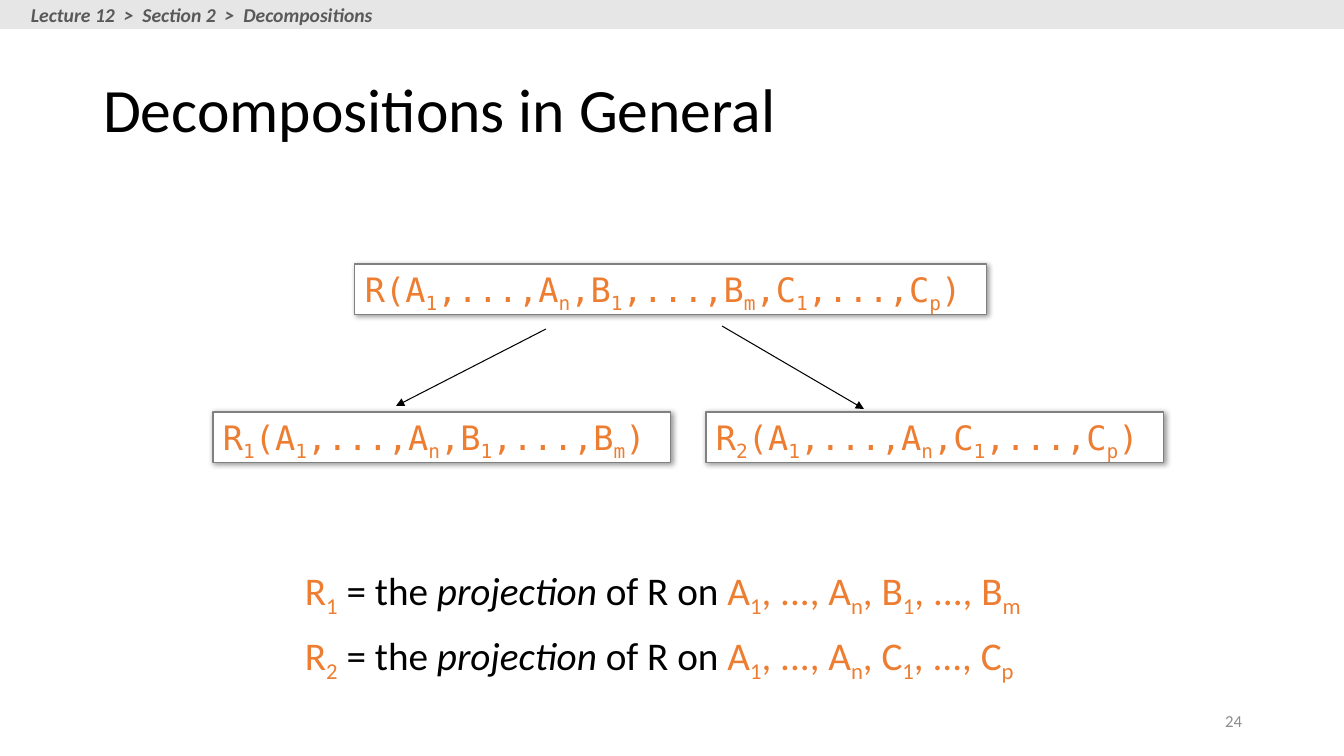
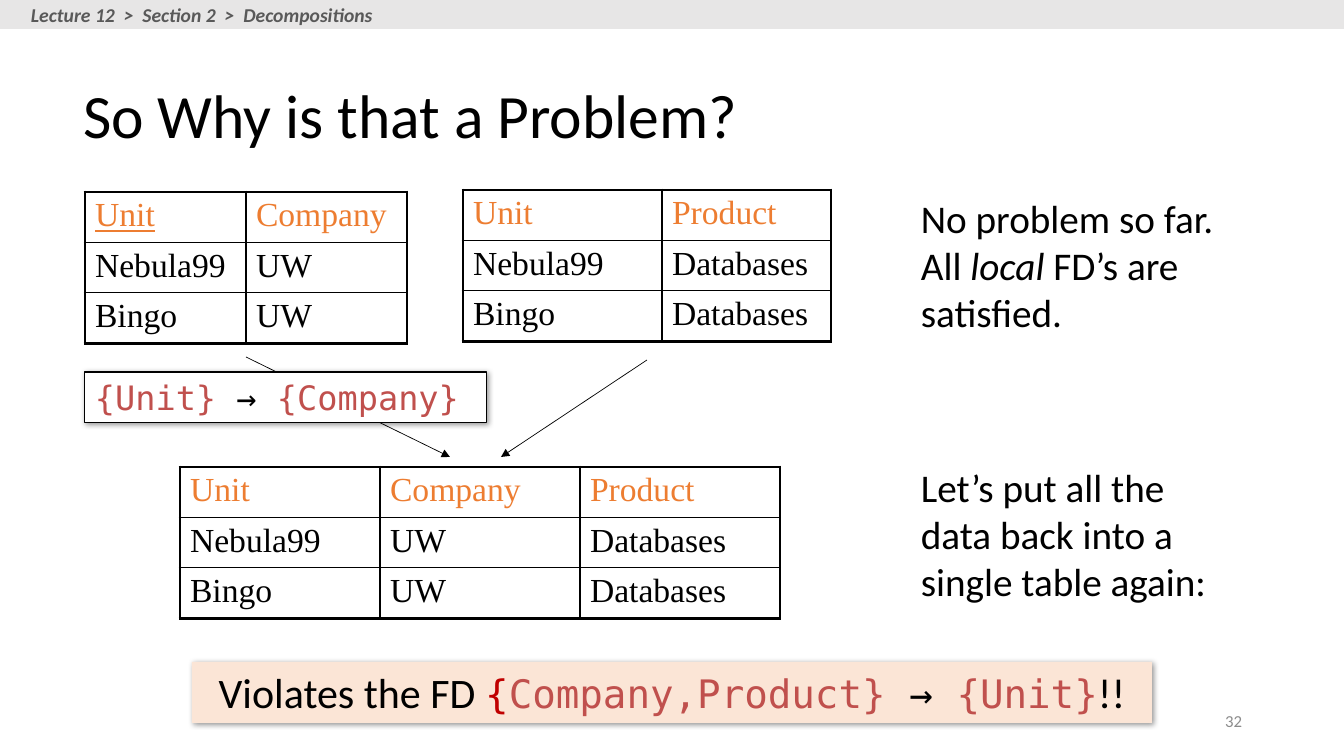
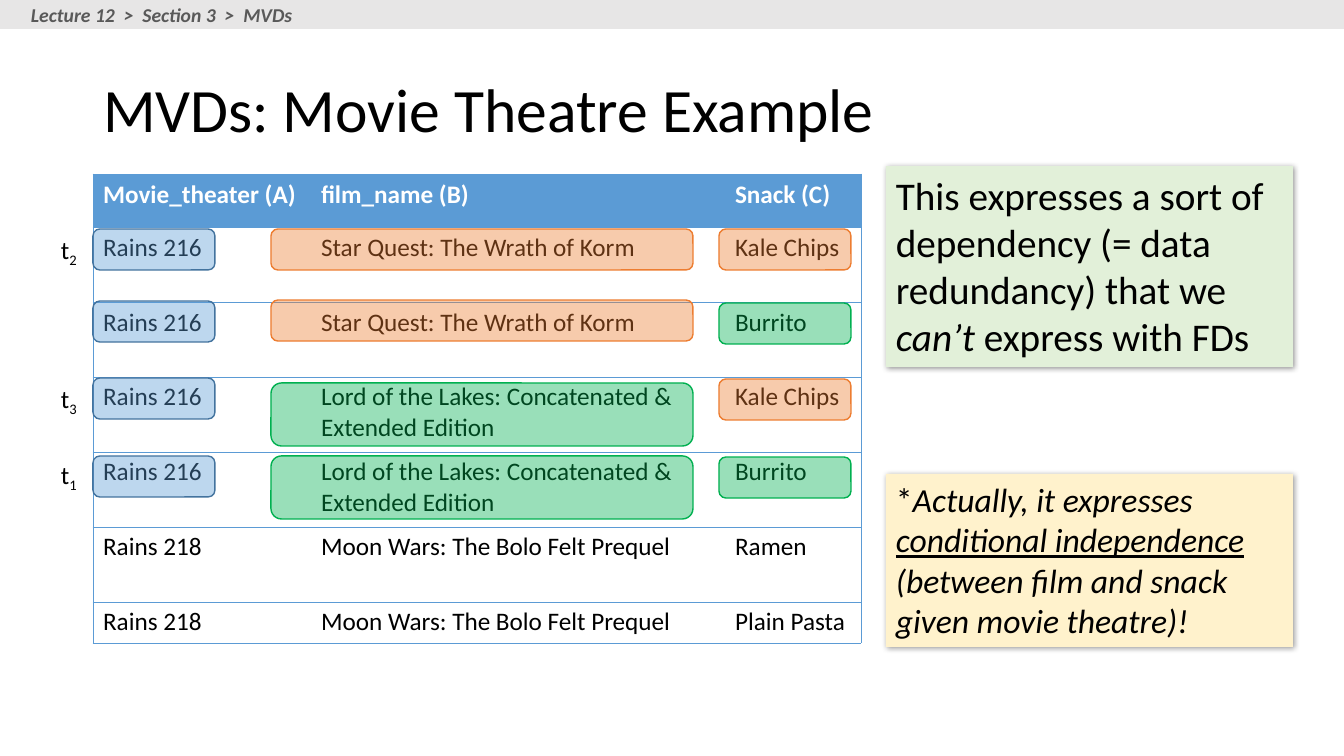
from dataclasses import dataclass
from lxml.etree import SubElement
from pptx import Presentation
from pptx.dml.color import RGBColor
from pptx.enum.shapes import MSO_CONNECTOR, MSO_SHAPE
from pptx.enum.text import MSO_ANCHOR, MSO_AUTO_SIZE, PP_ALIGN
from pptx.oxml.ns import qn
from pptx.util import Emu, Pt

EMU_PER_PX = 914400 / 100.8


@dataclass(frozen=True)
class Theme:
    sans: str = "Calibri"
    mono: str = "DejaVu Sans Mono"
    serif: str = "Times New Roman"
    black: str = "000000"
    white: str = "FFFFFF"
    gray: str = "808080"
    number: str = "8C8C8C"
    band: str = "E7E6E6"
    crumb: str = "595959"
    orange: str = "ED7D31"
    blue: str = "5B9BD5"
    dark_blue: str = "43739E"
    green: str = "00B050"
    brick: str = "C0504D"
    red: str = "C00000"
    peach: str = "FBE5D6"
    mint: str = "E2F0D9"
    cream: str = "FFF2CC"
    title_size: int = 44
    callout_size: int = 30
    body_size: int = 28
    code_size: int = 24
    label_size: int = 18
    crumb_size: int = 14
    number_size: int = 12


THEME = Theme()


@dataclass(frozen=True)
class Box:
    left: int
    top: int
    width: int
    height: int

    def area(self, dx, dy, width, height):
        return Box(self.left + dx, self.top + dy, width, height)

    def emu(self):
        return [px(v) for v in (self.left, self.top, self.width, self.height)]


@dataclass(frozen=True)
class GridStyle:
    font: str
    size: int
    head_color: str
    line: str
    outer: float
    inner_rows: float
    inner_columns: float
    head_bold: bool = False
    head_fill: str = ""


RELATION = GridStyle(THEME.serif, THEME.code_size, THEME.orange, THEME.black, 2.25, 1, 1)
LISTING = GridStyle(THEME.sans, THEME.label_size, THEME.white, THEME.blue, 0.5, 0.5, 0,
                    head_bold=True, head_fill=THEME.blue)


def px(value):
    return Emu(round(value * EMU_PER_PX))


def rgb(color):
    return RGBColor.from_string(color)


# Text
def formula(text, **style):
    """Split "A_1,B_2" into runs; the character after each underscore is a subscript."""
    first, *rest = text.split("_")
    runs = [(first, style)]
    for piece in rest:
        runs.append((piece[0], {**style, "sub": True}))
        if piece[1:]:
            runs.append((piece[1:], style))
    return runs


def write(frame, content, size, color=THEME.black, font=THEME.sans, align=PP_ALIGN.LEFT,
          bold=False, italic=False):
    paragraph = frame.paragraphs[0]
    paragraph.alignment = align
    for text, style in [(content, {})] if isinstance(content, str) else content:
        run = paragraph.add_run()
        run.text = text
        run.font.name = style.get("font", font)
        run.font.size = Pt(style.get("size", size))
        run.font.color.rgb = rgb(style.get("color", color))
        run.font.bold = bold
        run.font.italic = style.get("italic", italic)
        run.font.underline = style.get("underline", False)
        if style.get("sub"):
            run._r.get_or_add_rPr().set("baseline", "-25000")
    return paragraph


def label(slide, box, content, size, anchor=MSO_ANCHOR.TOP, **style):
    frame = slide.shapes.add_textbox(*box.emu()).text_frame
    frame.word_wrap = True
    frame.vertical_anchor = anchor
    write(frame, content, size, **style)


# Shapes
def panel(slide, box, fill, line=None, width=0.75, kind=MSO_SHAPE.RECTANGLE, alpha=None):
    shape = slide.shapes.add_shape(kind, *box.emu())
    shape.shadow.inherit = False
    shape.fill.solid()
    shape.fill.fore_color.rgb = rgb(fill)
    if alpha:
        color = shape._element.spPr.find(qn("a:solidFill"))[0]
        SubElement(color, qn("a:alpha"), val=str(alpha * 1000))
    if line:
        shape.line.color.rgb = rgb(line)
        shape.line.width = Pt(width)
    else:
        shape.line.fill.background()
    return shape


def card(slide, box, content, size, fill=THEME.white, line=None, **style):
    shape = panel(slide, box, fill, line)
    effects = shape._element.spPr.find(qn("a:effectLst"))
    shadow = SubElement(effects, qn("a:outerShdw"), blurRad=str(Pt(4)), dist=str(Pt(1)),
                        dir="2700000", algn="tl", rotWithShape="0")
    color = SubElement(shadow, qn("a:srgbClr"), val=THEME.black)
    SubElement(color, qn("a:alpha"), val="40000")
    frame = shape.text_frame
    frame.word_wrap = True
    frame.vertical_anchor = MSO_ANCHOR.TOP
    write(frame, content, size, **style)


def arrow(slide, box, start, end, width):
    ends = [px(v) for x, y in (start, end) for v in (box.left + x, box.top + y)]
    connector = slide.shapes.add_connector(MSO_CONNECTOR.STRAIGHT, *ends)
    connector.line.color.rgb = rgb(THEME.black)
    connector.line.width = Pt(width)
    properties = connector._element.spPr
    SubElement(properties.find(qn("a:ln")), qn("a:tailEnd"), type="triangle")
    SubElement(properties, qn("a:effectLst"))


# Tables
def border(cell, side, width, color):
    line = SubElement(cell._tc.get_or_add_tcPr(), qn(f"a:ln{side}"), w=str(Pt(width)))
    if width:
        SubElement(SubElement(line, qn("a:solidFill")), qn("a:srgbClr"), val=color)
    else:
        SubElement(line, qn("a:noFill"))


def grid(slide, left, top, widths, heights, rows, style):
    box = Box(left, top, sum(widths), sum(heights))
    table = slide.shapes.add_table(len(rows), len(widths), *box.emu()).table
    table._tbl.tblPr[0].text = "{2D5ABB26-0587-4C30-8999-92F81FD0307C}"
    table.first_row = table.horz_banding = False
    for column, width in zip(table.columns, widths):
        column.width = px(width)
    last_row, last_column = len(rows) - 1, len(widths) - 1
    for r, (values, height) in enumerate(zip(rows, heights)):
        table.rows[r].height = px(height)
        for c, value in enumerate(values):
            cell = table.cell(r, c)
            for side, at_edge, inner in (("L", c == 0, style.inner_columns),
                                         ("R", c == last_column, style.inner_columns),
                                         ("T", r == 0, style.inner_rows),
                                         ("B", r == last_row, style.inner_rows)):
                border(cell, side, style.outer if at_edge else inner, style.line)
            head = r == 0
            if head and style.head_fill:
                cell.fill.solid()
                cell.fill.fore_color.rgb = rgb(style.head_fill)
            else:
                cell.fill.background()
            write(cell.text_frame, value, style.size, font=style.font,
                  color=style.head_color if head else THEME.black,
                  bold=head and style.head_bold)


# Frame shared by all slides
def lecture_slide(deck, title, crumbs, number=None, title_box=Box(93, 40, 1159, 146)):
    slide = deck.slides.add_slide(deck.slide_layouts[5])
    heading = slide.shapes.title
    heading.left, heading.top, heading.width, heading.height = title_box.emu()
    frame = heading.text_frame
    frame.auto_size = MSO_AUTO_SIZE.NONE
    frame.vertical_anchor = MSO_ANCHOR.MIDDLE
    write(frame, title, THEME.title_size).line_spacing = 0.9
    panel(slide, Box(0, 0, 1344, 29), THEME.band)
    label(slide, Box(21, -2, 400, 34), "  >  ".join(crumbs), THEME.crumb_size,
          color=THEME.crumb, bold=True, italic=True)
    if number:
        label(slide, Box(950, 701, 302, 40), number, THEME.number_size, MSO_ANCHOR.MIDDLE,
              color=THEME.number, align=PP_ALIGN.RIGHT)
    return slide


# Slide 1: a relation split in two, and what each half means
def decomposition_tree(slide, box):
    for dx, dy, width, relation in (
            (142, 0, 632, "R(A_1,...,A_n,B_1,...,B_m,C_1,...,C_p)"),
            (0, 148, 458, "R_1(A_1,...,A_n,B_1,...,B_m)"),
            (493, 148, 458, "R_2(A_1,...,A_n,C_1,...,C_p)")):
        card(slide, box.area(dx, dy, width, 51), formula(relation), THEME.code_size,
             line=THEME.gray, font=THEME.mono, color=THEME.orange)
    arrow(slide, box, (333, 65), (183, 142), 0.75)
    arrow(slide, box, (509, 62), (651, 145), 0.75)


def projections(slide, box):
    for i, (name, attributes) in enumerate((("R_1", "A_1, ..., A_n, B_1, ..., B_m"),
                                            ("R_2", "A_1, ..., A_n, C_1, ..., C_p"))):
        sentence = [*formula(name, color=THEME.orange), (" = the ", {}),
                    ("projection", {"italic": True}), (" of R on ", {}),
                    *formula(attributes, color=THEME.orange)]
        label(slide, box.area(0, 65 * i, box.width, 57), sentence, THEME.body_size)


def decompositions_slide(deck):
    slide = lecture_slide(deck, "Decompositions in General",
                          ("Lecture 12", "Section 2", "Decompositions"), "24")
    decomposition_tree(slide, Box(213, 264, 951, 199))
    projections(slide, Box(295, 561, 760, 122))


# Slide 2: two relations joined back into one
def joined_relations(slide, box):
    units = ("Nebula99", "Bingo")
    heights = [50] * 3
    left, top = box.left, box.top
    grid(slide, left, top + 2, [161] * 2, heights,
         [([("Unit", {"underline": True})], "Company"), *((u, "UW") for u in units)], RELATION)
    grid(slide, left + 378, top, [199, 169], heights,
         [("Unit", "Product"), *((u, "Databases") for u in units)], RELATION)
    grid(slide, left + 95, top + 277, [200] * 3, heights,
         [("Unit", "Company", "Product"), *((u, "UW", "Databases") for u in units)], RELATION)
    arrow(slide, box, (562, 170), (416, 267), 0.5)
    arrow(slide, box, (161, 167), (365, 267), 0.5)
    card(slide, box.area(0, 182, 402, 51),
         [("{Unit} ", {}), ("→", {"color": THEME.black}), (" {Company}", {})],
         THEME.code_size, line=THEME.black, font=THEME.mono, color=THEME.brick)


def remarks(slide, box):
    label(slide, box.area(0, 0, 341, 152),
          [("No problem so far. All ", {}), ("local", {"italic": True}),
           (" FD’s are satisfied.", {})], THEME.body_size)
    label(slide, box.area(0, 269, 319, 152),
          "Let’s put all the data back into a single table again:", THEME.body_size)


def violation(slide, box):
    plain = {"font": THEME.sans, "size": THEME.callout_size, "color": THEME.black}
    card(slide, box,
         [("Violates the FD ", plain), ("{", {"color": THEME.red}), ("Company,Product} ", {}),
          ("→ ", {"color": THEME.black}), ("{Unit}", {}), ("!!", plain)],
         THEME.body_size, fill=THEME.peach, font=THEME.mono, color=THEME.brick,
         align=PP_ALIGN.CENTER)


def problem_slide(deck):
    slide = lecture_slide(deck, "So Why is that a Problem?",
                          ("Lecture 12", "Section 2", "Decompositions"), "32",
                          Box(73, 56, 857, 126))
    joined_relations(slide, Box(85, 190, 747, 427))
    remarks(slide, Box(911, 189, 341, 421))
    violation(slide, Box(192, 662, 960, 61))


# Slide 3: a table with matching values highlighted
def screenings(slide, box):
    voyage = "Star Quest: The Wrath of Korm"
    legend = "Lord of the Lakes: Concatenated & Extended Edition"
    prequel = "Moon Wars: The Bolo Felt Prequel"
    grid(slide, box.left, box.top, [218, 414, 136], [53, *[75] * 5, 41],
         [("Movie_theater (A)", "film_name (B)", "Snack (C)"),
          ("Rains 216", voyage, "Kale Chips"), ("Rains 216", voyage, "Burrito"),
          ("Rains 216", legend, "Kale Chips"), ("Rains 216", legend, "Burrito"),
          ("Rains 218", prequel, "Ramen"), ("Rains 218", prequel, "Plain Pasta")], LISTING)

    # Highlights by column: left, width, then (top, height, fill, line) for each row
    blue = (THEME.blue, THEME.dark_blue)
    orange, green = (THEME.orange,) * 2, (THEME.green,) * 2
    columns = (
        (0, 122, [(top, 41, *blue) for top in (55, 127, 204, 282)]),
        (178, 422, [(55, 41, *orange), (126, 41, *orange),
                    (209, 63, *green), (282, 63, *green)]),
        (626, 132, [(55, 41, *orange), (129, 41, *green),
                    (205, 41, *orange), (283, 41, *green)]))
    for dx, width, marks in columns:
        for dy, height, fill, line in marks:
            panel(slide, box.area(dx, dy, width, height), fill, line, 1,
                  MSO_SHAPE.ROUNDED_RECTANGLE, alpha=40)

    # Tuple names
    for name, dy in (("t_2", 55), ("t_3", 204), ("t_1", 280)):
        label(slide, box.area(-42, dy, 41, 40), formula(name), THEME.label_size)


def notes(slide, box):
    card(slide, box.area(0, 0, box.width, 201),
         [("This expresses a sort of dependency (= data redundancy) that we ", {}),
          ("can’t", {"italic": True}), (" express with FDs", {})],
         THEME.body_size, fill=THEME.mint)
    card(slide, box.area(0, 308, box.width, 173),
         [("*", {"italic": False}), ("Actually, it expresses ", {}),
          ("conditional independence", {"underline": True}),
          (" (between film and snack given movie theatre)!", {})],
         THEME.code_size, fill=THEME.cream, italic=True)


def theatre_slide(deck):
    slide = lecture_slide(deck, "MVDs: Movie Theatre Example",
                          ("Lecture 12", "Section 3", "MVDs"))
    screenings(slide, Box(93, 174, 768, 469))
    notes(slide, Box(886, 166, 407, 481))


def main():
    deck = Presentation()
    deck.slide_width, deck.slide_height = px(1344), px(756)
    for build in (decompositions_slide, problem_slide, theatre_slide):
        build(deck)
    deck.save("out.pptx")


if __name__ == "__main__":
    main()
